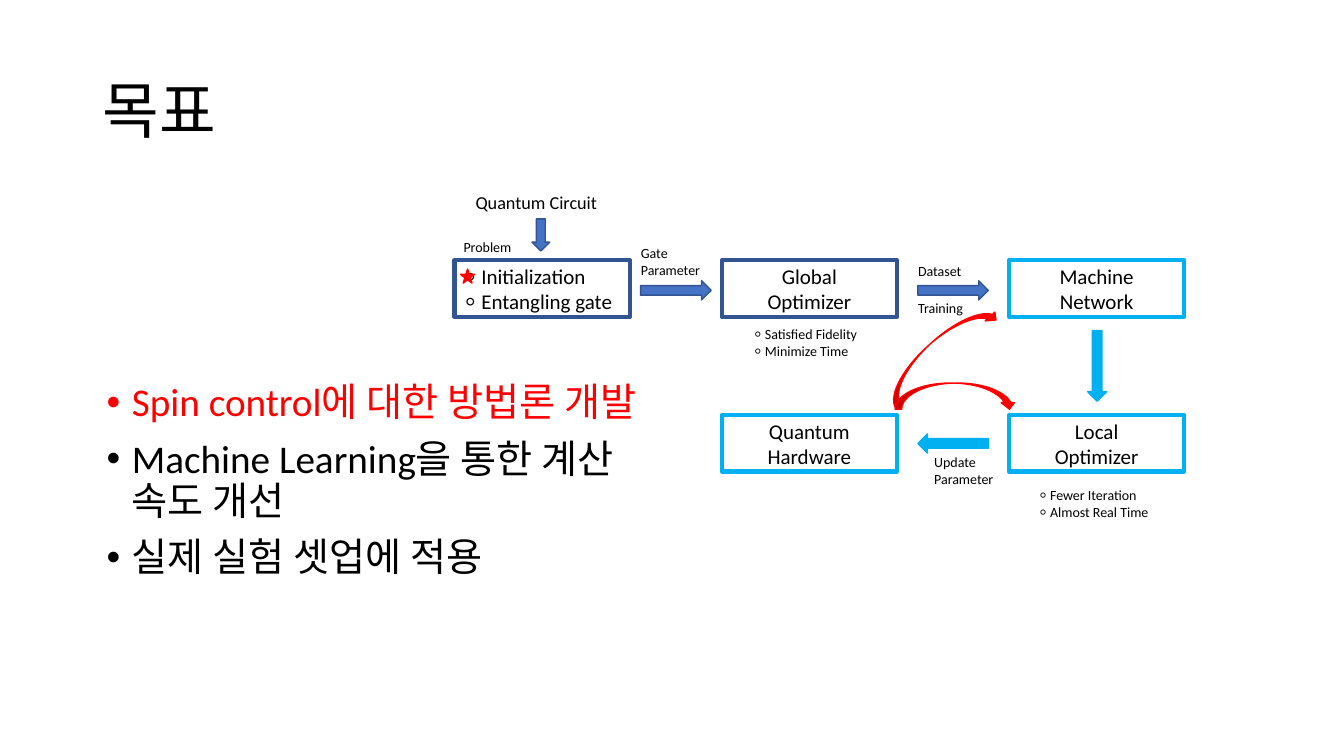
from dataclasses import dataclass

from lxml import etree
from pptx import Presentation
from pptx.dml.color import RGBColor
from pptx.enum.shapes import MSO_SHAPE
from pptx.enum.text import MSO_ANCHOR, PP_ALIGN
from pptx.oxml.ns import qn
from pptx.util import Pt

RECT, DOWN = MSO_SHAPE.RECTANGLE, MSO_SHAPE.DOWN_ARROW
CURVED, STAR = MSO_SHAPE.CURVED_DOWN_ARROW, MSO_SHAPE.STAR_5_POINT
LEFT, CENTER = PP_ALIGN.LEFT, PP_ALIGN.CENTER
TOP, MIDDLE = MSO_ANCHOR.TOP, MSO_ANCHOR.MIDDLE


@dataclass(frozen=True)
class Theme:
    font: str = "Calibri"
    black: str = "000000"
    red: str = "FF0000"
    blue: str = "4472C4"
    navy: str = "325491"
    cyan: str = "00B0F0"
    title: float = 44
    body: float = 28
    node: float = 15
    source: float = 13
    note: float = 10


T = Theme()
NODE_W, NODE_H = 125.3, 40.3
COLS = (324.7, 515.5, 720.7)
ROWS = (186, 296.6)


def rgb(color):
    return RGBColor.from_string(color)


def set_attrs(obj, formats):
    for name, value in formats.items():
        setattr(obj, name, value)


def write(tf, lines, size, color=T.black, anchor=TOP, **formats):
    set_attrs(tf, {"word_wrap": True, "vertical_anchor": anchor})
    for i, line in enumerate(lines):
        p = tf.paragraphs[0] if i == 0 else tf.add_paragraph()
        set_attrs(p, formats)
        r = p.add_run()
        r.text = line
        set_attrs(r.font, {"name": T.font, "size": Pt(size)})
        r.font.color.rgb = rgb(color)


def add_text(s, x, y, w, h, lines, size, **formats):
    box = s.shapes.add_textbox(Pt(x), Pt(y), Pt(w), Pt(h))
    write(box.text_frame, lines, size, **formats)
    return box.text_frame


def add_note(s, x, y, *lines):
    add_text(s, x, y, 111.6, 7.2 + 12.2 * len(lines), lines, T.note)


def add_figure(s, kind, x, y, w, h, fill, line, width=1, rotation=0):
    sp = s.shapes.add_shape(kind, Pt(x), Pt(y), Pt(w), Pt(h))
    sp.shadow.inherit = False
    sp.rotation = rotation
    if fill:
        sp.fill.solid()
        sp.fill.fore_color.rgb = rgb(fill)
    else:
        sp.fill.background()
    sp.line.color.rgb = rgb(line)
    sp.line.width = Pt(width)
    return sp


def add_node(s, col, row, color, lines, alignment=CENTER):
    sp = add_figure(s, RECT, COLS[col], ROWS[row], NODE_W, NODE_H, None, color, 3)
    write(sp.text_frame, lines, T.node, anchor=MIDDLE, alignment=alignment)


def add_arrow(s, cx, cy, fill, line, rotation=0, w=13.7, h=50.4):
    add_figure(s, DOWN, cx - w / 2, cy - h / 2, w, h, fill, line, rotation=rotation)


def add_bullets(tf):
    for i, p in enumerate(tf.paragraphs):
        p.line_spacing = 0.9
        if i:
            p.space_before = Pt(10)
        pPr = p._p.get_or_add_pPr()
        pPr.set("marL", str(Pt(18)))
        pPr.set("indent", str(-Pt(18)))
        etree.SubElement(pPr, qn("a:buFont")).set("typeface", "Arial")
        etree.SubElement(pPr, qn("a:buChar")).set("char", "•")


def add_goals(s):
    add_text(s, 66.2, 28.8, 828, 104.4, ["목표"], T.title, anchor=MIDDLE, line_spacing=0.9)
    goals = ["Spin control에 대한 방법론 개발",
             "Machine Learning을 통한 계산 속도 개선",
             "실제 실험 셋업에 적용"]
    tf = add_text(s, 69.1, 270, 418.3, 231.1, goals, T.body)
    add_bullets(tf)
    tf.paragraphs[0].runs[0].font.color.rgb = rgb(T.red)


def add_workflow(s):
    add_node(s, 0, 0, T.navy, ["⸰ Initialization", "⸰ Entangling gate"], LEFT)
    add_node(s, 1, 0, T.navy, ["Global", "Optimizer"])
    add_node(s, 2, 0, T.cyan, ["Machine", "Network"])
    add_node(s, 2, 1, T.cyan, ["Local", "Optimizer"])
    add_node(s, 1, 1, T.cyan, ["Quantum", "Hardware"])

    add_arrow(s, 386.3, 167.8, T.blue, T.navy, w=12.6, h=23)
    add_arrow(s, 482.8, 207.4, T.blue, T.navy, 270)
    add_arrow(s, 680.8, 207.4, T.blue, T.navy, 270)
    add_arrow(s, 783.7, 261.4, T.cyan, T.cyan)
    add_arrow(s, 680.8, 316.8, T.cyan, T.cyan, 90)

    add_text(s, 332.6, 133.2, 111.6, 23, ["Quantum Circuit"], T.source)
    add_note(s, 324, 167, "Problem")
    add_note(s, 450.7, 171.4, "Gate", "Parameter")
    add_note(s, 648.7, 184.3, "Dataset")
    add_note(s, 648.7, 210.2, "Training")
    add_note(s, 735.1, 344.2, "⸰ Fewer Iteration", "⸰ Almost Real Time")
    add_note(s, 660.2, 320.4, "Update", "Parameter")
    add_note(s, 531.4, 229, "⸰ Satisfied Fidelity", "⸰ Minimize Time")

    add_figure(s, CURVED, 621.4, 242.6, 100.1, 18.7, T.red, T.red, rotation=318)
    add_figure(s, CURVED, 639.4, 273.6, 86.4, 18.7, T.red, T.red)
    add_figure(s, STAR, 329, 192.2, 10.1, 10.1, T.red, T.red)


def main():
    prs = Presentation()
    set_attrs(prs, {"slide_width": Pt(960), "slide_height": Pt(540)})
    s = prs.slides.add_slide(prs.slide_layouts[6])
    add_goals(s)
    add_workflow(s)
    prs.save("out.pptx")


if __name__ == "__main__":
    main()
